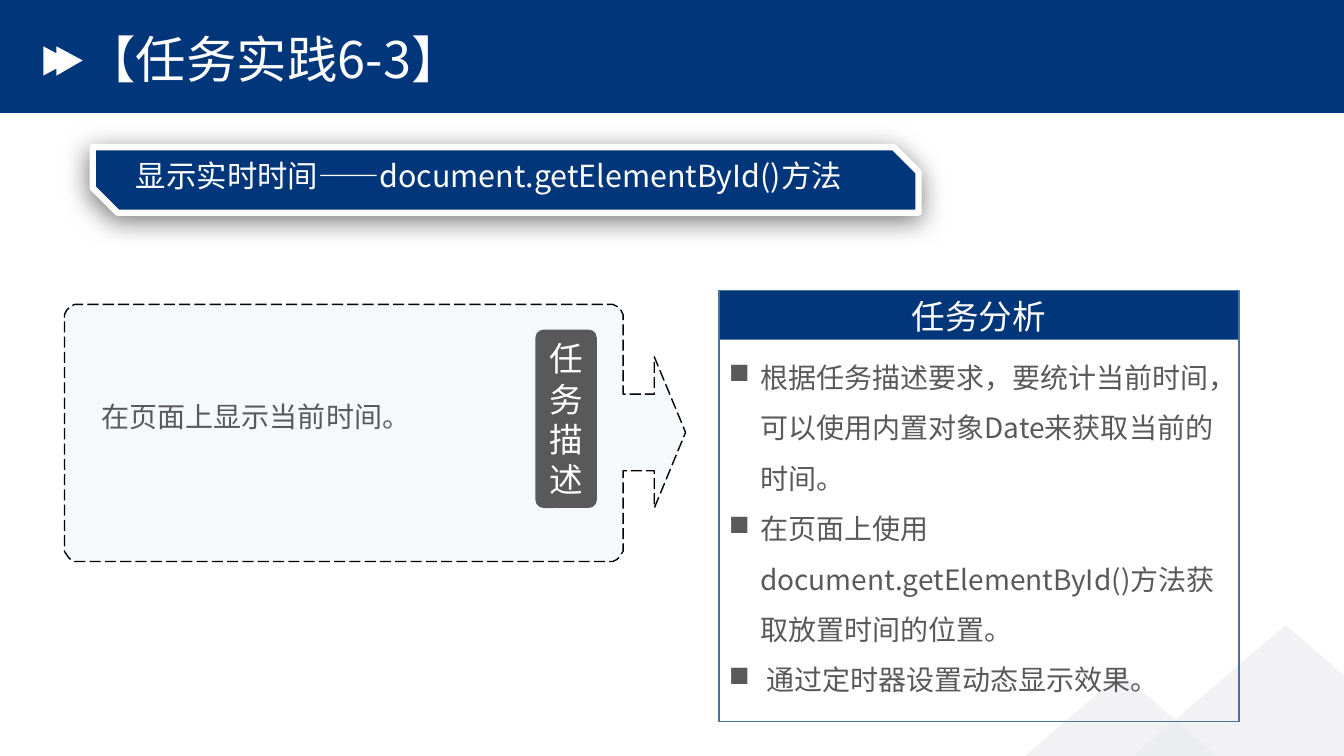
import math

import pptx
import pptx.util
from pptx.dml.color import RGBColor
from pptx.enum.dml import MSO_LINE
from pptx.enum.shapes import MSO_SHAPE
from pptx.enum.text import MSO_ANCHOR, PP_ALIGN
from pptx.oxml.ns import qn
from lxml import etree

PX = 9144  # 100 px to the inch
NAVY = RGBColor(0x01, 0x36, 0x7A)
WHITE = RGBColor(0xFF, 0xFF, 0xFF)
BLACK = RGBColor(0, 0, 0)
GREY = RGBColor(0x59, 0x59, 0x59)
MIST = RGBColor(0xE9, 0xEA, 0xEF)
SKY = RGBColor(0xBD, 0xD7, 0xEE)
STEEL = RGBColor(0x43, 0x73, 0x9E)
CJK = "Noto Sans CJK SC"

TITLE = "【任务实践6-3】"
TOPIC = "显示实时时间——document.getElementById()方法"
DESCRIPTION = "在页面上显示当前时间。"
ANALYSIS = [
    "根据任务描述要求，要统计当前时间，可以使用内置对象Date来获取当前的时间。",
    "在页面上使用document.getElementById()方法获取放置时间的位置。",
    " 通过定时器设置动态显示效果。",
]


def add_child(parent, tag, **attributes):
    child = etree.SubElement(parent, qn(tag))
    for name, value in attributes.items():
        child.set(name, str(value))
    return child


def paint(shape, fill=None, opacity=100, line=None, width=1):
    """Set fill, outline and no shadow; opacity is in percent."""
    shape.shadow.inherit = False
    if fill is None:
        shape.fill.background()
    else:
        shape.fill.solid()
        shape.fill.fore_color.rgb = fill
        if opacity < 100:
            color = shape.fill._xPr.find(qn("a:solidFill"))[0]
            add_child(color, "a:alpha", val=opacity * 1000)
    if line is None:
        shape.line.fill.background()
    else:
        shape.line.color.rgb = line
        shape.line.width = pptx.util.Pt(width)


def add_block(shapes, kind, box, **look):
    shape = shapes.add_shape(kind, *(n * PX for n in box))
    paint(shape, **look)
    return shape


def add_outline(shapes, points, **look):
    builder = shapes.build_freeform(*points[0], scale=PX)
    builder.add_line_segments(points[1:], close=True)
    shape = builder.convert_to_shape()
    paint(shape, **look)
    return shape


def write(shape, lines, size, color, font=CJK, align=PP_ALIGN.LEFT,
          anchor=MSO_ANCHOR.TOP, spacing=None):
    frame = shape.text_frame
    frame.word_wrap = True
    frame.vertical_anchor = anchor
    frame.text = "\n".join(lines)
    for paragraph in frame.paragraphs:
        paragraph.alignment = align
        paragraph.line_spacing = spacing
        for run in paragraph.runs:
            run.font.size = pptx.util.Pt(size)
            run.font.color.rgb = color
            run.font.name = font
            add_child(run.font._element, "a:ea", typeface=font)
    return frame


def add_text(shapes, box, lines, size, color, **style):
    textbox = shapes.add_textbox(*(n * PX for n in box))
    return write(textbox, lines, size, color, **style)


def add_bullets(frame, indent):
    for paragraph in frame.paragraphs:
        properties = paragraph._p.get_or_add_pPr()
        properties.set("marL", str(indent * PX))
        properties.set("indent", str(-indent * PX))
        add_child(properties, "a:buChar", char="■")


def add_header(shapes, x, y, w, h):
    add_block(shapes, MSO_SHAPE.RECTANGLE, (x, y, w, h), fill=NAVY)
    fast_forward = [(43, 46), (56, 53), (56, 46), (82, 60),
                    (56, 75), (56, 68), (43, 75)]
    add_outline(shapes, [(x + px, y + py) for px, py in fast_forward], fill=WHITE)
    add_text(shapes, (x + 75, y + 34, 658, 56), [TITLE], 36, WHITE,
             anchor=MSO_ANCHOR.MIDDLE, spacing=0.9)


def add_hills(shapes, x, y):
    for dx, dy in ((0, 48), (163, 0)):
        add_block(shapes, MSO_SHAPE.ISOSCELES_TRIANGLE,
                  (x + dx, y + dy, 440, 189), fill=MIST, opacity=59)


def add_topic(shapes, x, y, w, h):
    banner = add_block(shapes, MSO_SHAPE.SNIP_2_DIAG_RECTANGLE, (x, y, w, h),
                       fill=NAVY, line=WHITE, width=4.5)
    banner.adjustments[0] = 0
    banner.adjustments[1] = 0.378
    effects = banner._element.spPr.find(qn("a:effectLst"))
    shadow = add_child(effects, "a:outerShdw", blurRad=pptx.util.Pt(19),
                       dist=pptx.util.Pt(4), dir=112 * 60000, rotWithShape=0)
    add_child(add_child(shadow, "a:srgbClr", val=BLACK), "a:alpha", val=51000)
    frame = add_text(shapes, (x + 33, y + 1, 740, 70), [TOPIC], 21.7, WHITE,
                     spacing=1.1)
    frame.paragraphs[0].space_before = pptx.util.Pt(10)


def corner(cx, cy, radius, start):
    """Points of a clockwise quarter arc that begins at start degrees."""
    angles = [math.radians(start + step * 15) for step in range(7)]
    return [(round(cx + radius * math.cos(a), 2), round(cy + radius * math.sin(a), 2))
            for a in angles]


def add_description(shapes, x, y, w, h):
    """Rounded card whose right side carries an arrow, within the given box."""
    radius, stem, head = 13, 38, 75
    body, neck = x + w - 62, x + w - 31
    right, bottom, middle = body - radius, y + h - radius, y + h // 2
    arrow = [(body, middle - stem), (neck, middle - stem), (neck, middle - head),
             (x + w, middle), (neck, middle + head), (neck, middle + stem),
             (body, middle + stem)]
    outline = (corner(x + radius, y + radius, radius, 180)
               + corner(right, y + radius, radius, 270) + arrow
               + corner(right, bottom, radius, 0)
               + corner(x + radius, bottom, radius, 90))
    card = add_outline(shapes, outline, fill=SKY, opacity=15, line=BLACK)
    card.line.dash_style = MSO_LINE.LONG_DASH
    add_text(shapes, (x + 27, y + 79, 440, 50), [DESCRIPTION], 20, GREY, spacing=1.3)
    label = add_block(shapes, MSO_SHAPE.ROUNDED_RECTANGLE,
                      (x + 467, y + 25, 61, 177), fill=GREY)
    label.adjustments[0] = 0.133
    write(label, ["任务描述"], 24, WHITE, font="Calibri",
          align=PP_ALIGN.CENTER, anchor=MSO_ANCHOR.MIDDLE)


def add_analysis(shapes, x, y, w, h):
    add_block(shapes, MSO_SHAPE.RECTANGLE, (x, y, w, 49), fill=NAVY)
    add_text(shapes, (x, y + 1, w, 44), ["任务分析"], 24, WHITE, align=PP_ALIGN.CENTER)
    steps = add_text(shapes, (x, y + 48, w, 358), ANALYSIS, 20, GREY, spacing=1.5)
    add_bullets(steps, 31)
    add_block(shapes, MSO_SHAPE.RECTANGLE, (x, y, w, h), line=STEEL)


def main():
    deck = pptx.Presentation()
    deck.slide_width, deck.slide_height = 1333 * PX, 750 * PX
    shapes = deck.slides.add_slide(deck.slide_layouts[6]).shapes
    add_header(shapes, 0, 0, 1333, 112)
    add_hills(shapes, 892, 620)
    add_topic(shapes, 92, 146, 819, 65)
    add_description(shapes.add_group_shape().shapes, 64, 302, 616, 255)
    add_analysis(shapes.add_group_shape().shapes, 713, 288, 516, 428)
    deck.save("out.pptx")


if __name__ == "__main__":
    main()
